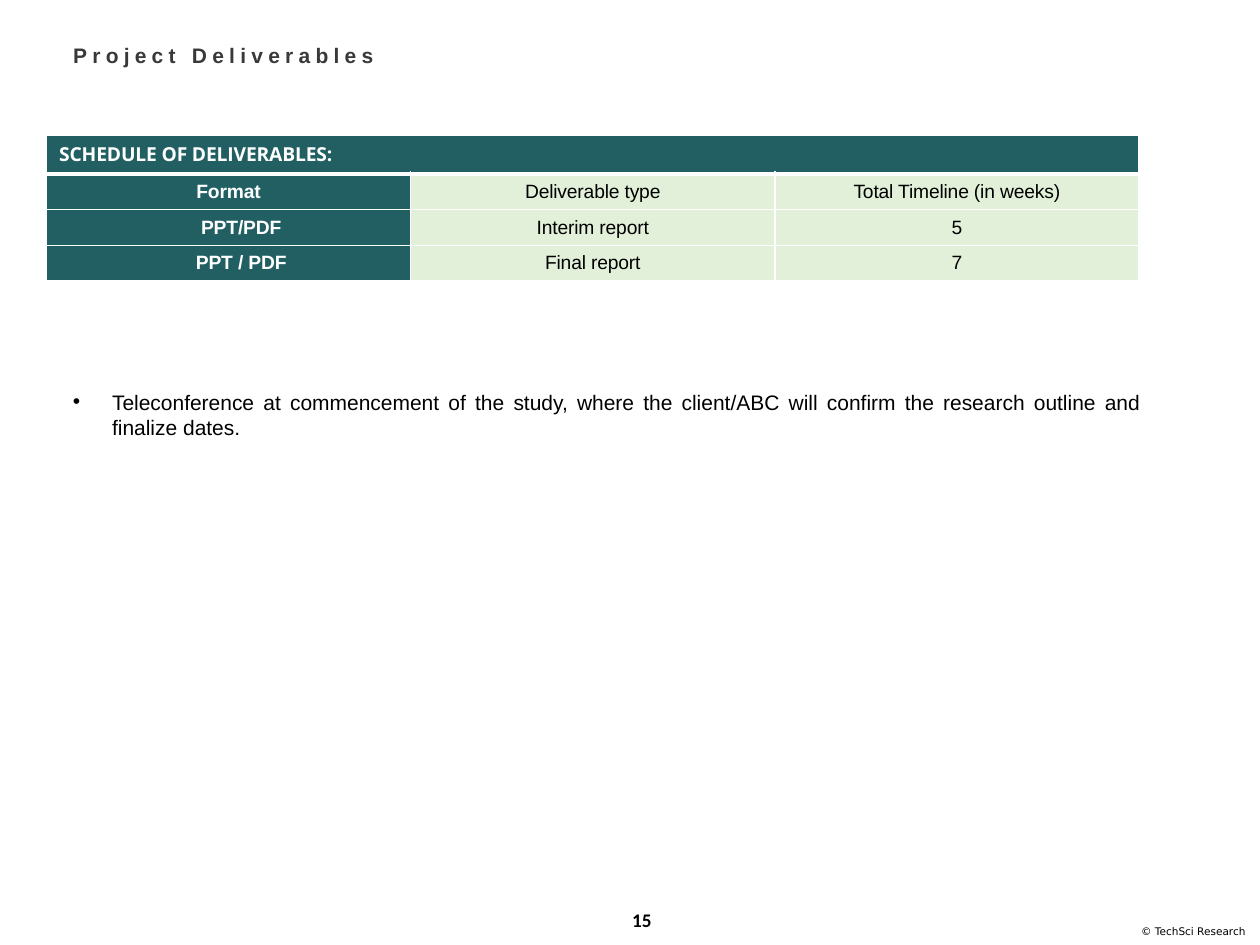
from dataclasses import dataclass

from lxml.etree import SubElement
from pptx import Presentation
from pptx.dml.color import RGBColor
from pptx.enum.text import MSO_ANCHOR as Anchor, MSO_AUTO_SIZE as AutoSize, PP_ALIGN as Align
from pptx.oxml.ns import qn
from pptx.util import Cm, Pt

TEAL = RGBColor(0x21, 0x5F, 0x63)
PALE_GREEN = RGBColor(0xE2, 0xF0, 0xD9)
CHARCOAL = RGBColor(0x3B, 0x38, 0x38)
BLACK = RGBColor(0, 0, 0)
WHITE = RGBColor(0xFF, 0xFF, 0xFF)


@dataclass
class Style:
    font: str
    size: float
    color: RGBColor
    bold: bool = False
    align: Align = Align.CENTER
    spacing: int = 0  # hundredths of a point


@dataclass
class Label:
    text: str
    left: float
    top: float
    width: float
    height: float
    style: Style
    wrap: bool = True
    anchor: Anchor = Anchor.MIDDLE


TITLE = Style("Arial", 12, CHARCOAL, True, Align.LEFT, 300)
BODY = Style("Arial", 12, BLACK, align=Align.JUSTIFY)
BANNER = Style("Open Sans", 11, WHITE, True, Align.LEFT, -10)
ROW_HEAD = Style("Arial", 11, WHITE, True, spacing=-10)
ROW_CELL = Style("Arial", 11, BLACK, spacing=-10)

NOTE = Label(
    "Teleconference at commencement of the study, where the client/ABC will "
    "confirm the research outline and finalize dates.",
    1.22, 7.72, 22.05, 1.27, BODY, anchor=Anchor.TOP)
FOOTERS = [
    Label("15", 12.32, 18.03, 1.24, 1.02, Style("Calibri", 11, BLACK, True)),
    Label("© TechSci Research", 22.71, 18.59, 2.69, 0.38,
          Style("DejaVu Sans", 6, BLACK), wrap=False),
]
ROWS = [
    ("Format", "Deliverable type", "Total Timeline (in weeks)"),
    ("PPT/PDF", "Interim report", "5"),
    ("PPT / PDF", "Final report", "7"),
]
COL_WIDTH, ROW_HEIGHT = 7.34, 0.72


def write(tf, text: str, style: Style) -> None:
    tf.text = text
    p = tf.paragraphs[0]
    p.alignment = style.align
    r = p.runs[0]
    r.font.name, r.font.size, r.font.bold = style.font, Pt(style.size), style.bold
    r.font.color.rgb = style.color
    if style.spacing:
        r._r.get_or_add_rPr().set("spc", str(style.spacing))


def add_label(slide, label: Label):
    box = slide.shapes.add_textbox(
        Cm(label.left), Cm(label.top), Cm(label.width), Cm(label.height))
    tf = box.text_frame
    tf.word_wrap, tf.vertical_anchor = label.wrap, label.anchor
    write(tf, label.text, label.style)
    return box


def add_bullet(p, indent: Cm) -> None:
    pPr = p._p.get_or_add_pPr()
    pPr.set("marL", str(indent))
    pPr.set("indent", str(-indent))
    SubElement(pPr, qn("a:buFont"), typeface="Arial")
    SubElement(pPr, qn("a:buChar"), char="•")


def add_borders(cell, top: float = 1, bottom: float = 1) -> None:
    tcPr = cell._tc.get_or_add_tcPr()
    for side, width in (("L", 1), ("R", 1), ("T", top), ("B", bottom)):
        ln = SubElement(tcPr, qn(f"a:ln{side}"), w=str(Pt(width)))
        fill = SubElement(ln, qn("a:solidFill"))
        SubElement(fill, qn("a:srgbClr"), val=str(WHITE))


def fill_cell(cell, text: str, style: Style, color: RGBColor) -> None:
    cell.fill.solid()
    cell.fill.fore_color.rgb = color
    cell.vertical_anchor = Anchor.MIDDLE
    write(cell.text_frame, text, style)


def add_schedule(slide) -> None:
    n_rows, n_cols = len(ROWS) + 1, len(ROWS[0])
    table = slide.shapes.add_table(
        n_rows, n_cols, Cm(0.94), Cm(2.72),
        Cm(COL_WIDTH * n_cols), Cm(ROW_HEIGHT * n_rows)).table
    for col in table.columns:
        col.width = Cm(COL_WIDTH)

    # Heavier rule between the banner and the rows
    for i in range(n_rows):
        for j in range(n_cols):
            add_borders(table.cell(i, j), 3 if i == 1 else 1, 3 if i == 0 else 1)

    table.cell(0, 0).merge(table.cell(0, n_cols - 1))
    fill_cell(table.cell(0, 0), "SCHEDULE OF DELIVERABLES:", BANNER, TEAL)
    for i, row in enumerate(ROWS, 1):
        for j, text in enumerate(row):
            style, color = (ROW_CELL, PALE_GREEN) if j else (ROW_HEAD, TEAL)
            fill_cell(table.cell(i, j), text, style, color)
        if i > 1:
            table.cell(i, 0).margin_left = Cm(0.76)


def main() -> None:
    prs = Presentation()
    prs.slide_width, prs.slide_height = Cm(25.4), Cm(19.05)
    slide = prs.slides.add_slide(prs.slide_layouts[5])

    # Title
    title = slide.shapes.title
    title.left, title.top, title.width, title.height = Cm(1.22), Cm(0.5), Cm(21.05), Cm(1.27)
    tf = title.text_frame
    tf.auto_size, tf.vertical_anchor = AutoSize.NONE, Anchor.MIDDLE
    write(tf, "Project Deliverables", TITLE)
    tf.paragraphs[0].line_spacing = 0.9

    # Schedule table
    add_schedule(slide)

    # Bulleted note
    note = add_label(slide, NOTE)
    add_bullet(note.text_frame.paragraphs[0], Cm(0.79))

    # Page number and copyright line
    for footer in FOOTERS:
        add_label(slide, footer)

    prs.save("out.pptx")


if __name__ == "__main__":
    main()
